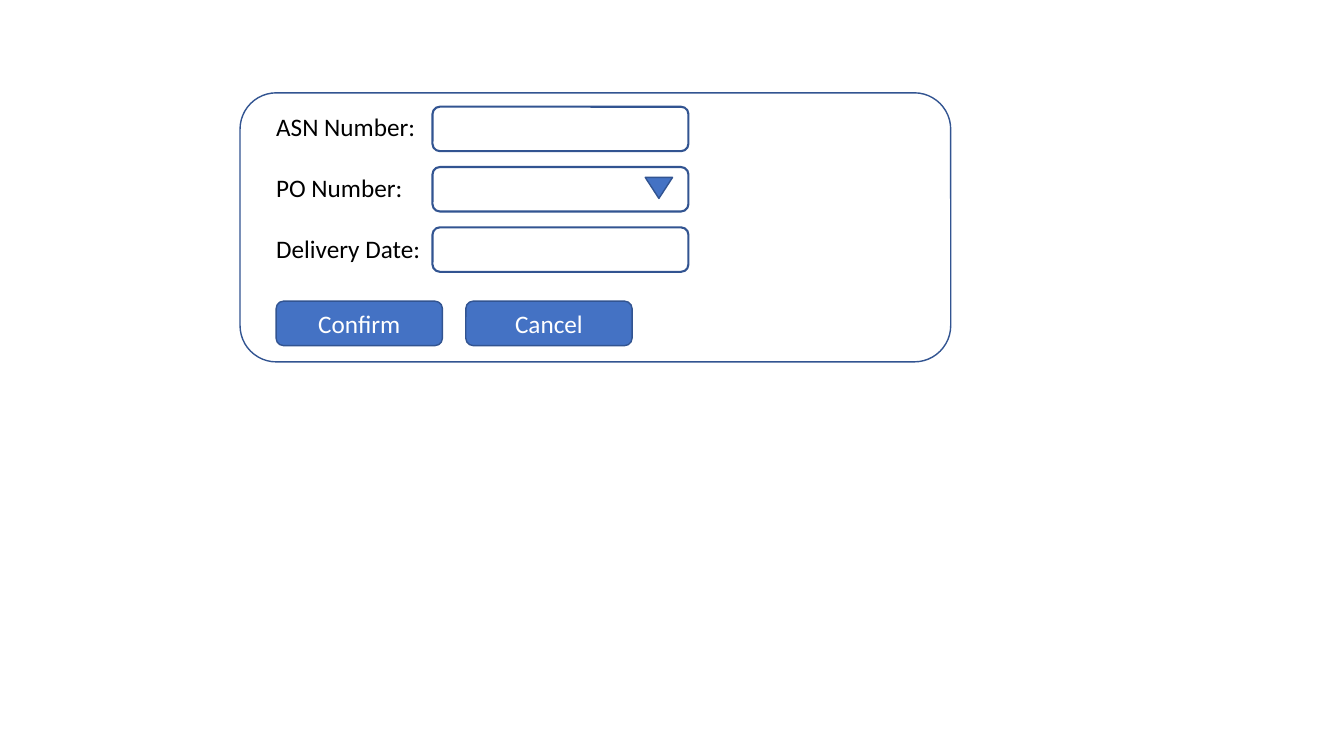
from dataclasses import dataclass

from pptx import Presentation
from pptx.dml.color import RGBColor
from pptx.enum.shapes import MSO_SHAPE as Preset
from pptx.enum.text import MSO_ANCHOR as Anchor, MSO_AUTO_SIZE as AutoSize, PP_ALIGN as Align
from pptx.util import Cm, Pt


@dataclass(frozen=True)
class Theme:
    accent = RGBColor.from_string("4472C4")
    outline = RGBColor.from_string("325491")
    white = RGBColor.from_string("FFFFFF")
    black = RGBColor.from_string("000000")
    font = "Calibri"
    size = Pt(18)
    thin = Pt(1)
    medium = Pt(1.5)


def add_box(preset, left, top, width, height, fill, line_width=Theme.thin):
    box = page.shapes.add_shape(preset, Cm(left), Cm(top), Cm(width), Cm(height))
    box.shadow.inherit = False
    box.fill.solid()
    box.fill.fore_color.rgb = fill
    box.line.color.rgb = Theme.outline
    box.line.width = line_width
    return box


def style_text(para, color):
    for span in para.runs:
        span.font.name = Theme.font
        span.font.size = Theme.size
        span.font.color.rgb = color


deck = Presentation()
deck.slide_width, deck.slide_height = Cm(33.87), Cm(19.05)
page = deck.slides.add_slide(deck.slide_layouts[6])

panel = add_box(Preset.ROUNDED_RECTANGLE, 6.05, 2.34, 17.91, 6.78, Theme.white)
panel.adjustments[0] = 0.135

form_top, row_step, row_height = 2.69, 1.52, 1.12
field_labels = ["ASN Number:", "PO Number:", "Delivery Date:"]

labels = page.shapes.add_textbox(Cm(6.71), Cm(form_top), Cm(4.19), Cm(4.11))
labels.text_frame.word_wrap = False
labels.text_frame.auto_size = AutoSize.SHAPE_TO_FIT_TEXT
labels.text_frame.text = "\n".join(field_labels)
for row, para in enumerate(labels.text_frame.paragraphs):
    para.space_before = Pt(22 if row else 0)
    style_text(para, Theme.black)
    add_box(Preset.ROUNDED_RECTANGLE, 10.9, form_top + row * row_step, 6.45, row_height,
            Theme.white, Theme.medium)

dropdown_arrow = add_box(Preset.ISOSCELES_TRIANGLE, 16.26, 4.47, 0.69, 0.53, Theme.accent)
dropdown_arrow.rotation = 180

for column, caption in enumerate(["Confirm", "Cancel"]):
    button = add_box(Preset.ROUNDED_RECTANGLE, 6.96 + column * 4.78, 7.59, 4.19, row_height,
                     Theme.accent)
    button.text_frame.text = caption
    button.text_frame.vertical_anchor = Anchor.MIDDLE
    para = button.text_frame.paragraphs[0]
    para.alignment = Align.CENTER
    style_text(para, Theme.white)

deck.save("out.pptx")
